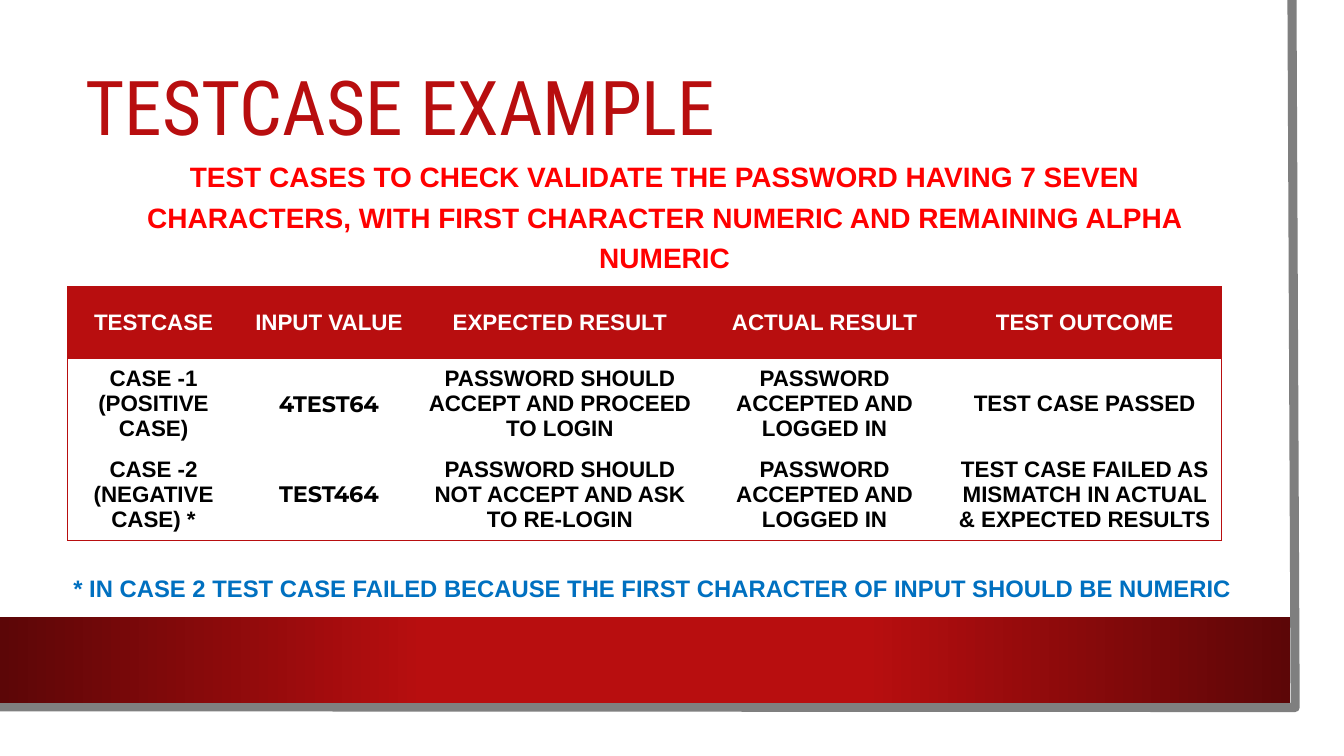
import pptx
import pptx.dml.color
import pptx.enum.dml
import pptx.enum.shapes
import pptx.enum.text
import pptx.oxml
import pptx.oxml.ns
import pptx.util

Cm = pptx.util.Cm
Pt = pptx.util.Pt
ALIGN = pptx.enum.text.PP_ALIGN
MIDDLE = pptx.enum.text.MSO_ANCHOR.MIDDLE

COLORS = {"red": "B80E0F", "dark red": "5C0607", "gray": "7F7F7F", "white": "FFFFFF",
          "black": "000000", "bright red": "FF0000", "blue": "0070C0"}
NAMESPACE = pptx.oxml.ns.nsdecls("a")
NO_STYLE = "{2D5ABB26-0587-4C30-8999-92F81FD0307C}"


def rgb(name):
    return pptx.dml.color.RGBColor.from_string(COLORS[name])


def write(frame, text, color, align, spacing, **font):
    """Fill a text frame, one paragraph per line of text."""
    frame.word_wrap = True
    frame.vertical_anchor = MIDDLE
    frame.text = text
    for para in frame.paragraphs:
        para.alignment = align
        para.line_spacing = spacing
        for span in para.runs:
            span.font.color.rgb = rgb(color)
            for attribute, value in font.items():
                setattr(span.font, attribute, value)


deck = pptx.Presentation()
deck.slide_width, deck.slide_height = Cm(33.87), Cm(19.05)
page = deck.slides.add_slide(deck.slide_layouts[5])

# Gray frame along the right and lower edges
outline = page.shapes.build_freeform(Cm(32.56), 0)
outline.add_line_segments([(Cm(32.64), Cm(17.83)), (Cm(-0.08), Cm(17.81))], close=False)
frame_line = outline.convert_to_shape()
frame_line.shadow.inherit = False
frame_line.fill.background()
frame_line.line.color.rgb = rgb("gray")
frame_line.line.width = Pt(6.5)

# Red band, darker towards both ends
band = page.shapes.add_shape(pptx.enum.shapes.MSO_SHAPE.RECTANGLE,
                             0, Cm(15.54), Cm(32.51), Cm(2.17))
band.shadow.inherit = False
band.line.fill.background()
stops = "".join(
    f'<a:gs pos="{place * 1000}"><a:srgbClr val="{COLORS[name]}"/></a:gs>'
    for place, name in [(0, "dark red"), (33, "red"), (67, "red"), (100, "dark red")])
gradient = pptx.oxml.parse_xml(
    f'<a:gradFill {NAMESPACE}><a:gsLst>{stops}</a:gsLst><a:lin ang="0"/></a:gradFill>')
band._element.spPr.find(pptx.oxml.ns.qn("a:prstGeom")).addnext(gradient)

# Title
title = page.shapes.title
title.left, title.top, title.width, title.height = Cm(1.9), Cm(1.19), Cm(28.88), Cm(3.2)
write(title.text_frame, "TESTCASE EXAMPLE", "red", ALIGN.LEFT, 0.9,
      name="Roboto Condensed", size=Pt(54))

# Introduction and footnote
notes = [
    ((1.9, 3.73, 29.7, 3.3),
     "TEST CASES TO CHECK VALIDATE THE PASSWORD HAVING 7 SEVEN CHARACTERS, "
     "WITH FIRST CHARACTER NUMERIC AND REMAINING ALPHA NUMERIC",
     "bright red", ALIGN.CENTER, 1.2, 20),
    ((1.6, 14.22, 29.7, 1.12),
     "* IN CASE 2 TEST CASE FAILED BECAUSE THE FIRST CHARACTER OF INPUT SHOULD BE NUMERIC",
     "blue", ALIGN.LEFT, 1.1, 17),
]
for place, text, color, align, spacing, size in notes:
    box = page.shapes.add_textbox(*[Cm(length) for length in place])
    write(box.text_frame, text, color, align, spacing, name="Arial", size=Pt(size), bold=True)

# Table of test cases
rows = [
    ["TESTCASE", "INPUT VALUE", "EXPECTED RESULT", "ACTUAL RESULT", "TEST OUTCOME"],
    ["CASE -1\n(POSITIVE CASE)", "4TEST64", "PASSWORD SHOULD ACCEPT AND PROCEED TO LOGIN",
     "PASSWORD ACCEPTED AND LOGGED IN", "TEST CASE PASSED"],
    ["CASE -2\n(NEGATIVE CASE) *", "TEST464", "PASSWORD SHOULD NOT ACCEPT AND ASK TO RE-LOGIN",
     "PASSWORD ACCEPTED AND LOGGED IN",
     "TEST CASE FAILED AS MISMATCH IN ACTUAL & EXPECTED RESULTS"],
]
widths = [4.34, 4.5, 7.14, 6.2, 6.91]
heights = [1.81, 2.14, 2.14]
holder = page.shapes.add_table(len(rows), len(widths), Cm(1.7), Cm(7.23),
                               Cm(sum(widths)), Cm(sum(heights)))
table = holder.table
table.horz_banding = False
table._tbl.tblPr.find(pptx.oxml.ns.qn("a:tableStyleId")).text = NO_STYLE
for column, width in zip(table.columns, widths):
    column.width = Cm(width)

for row_number, texts in enumerate(rows):
    table.rows[row_number].height = Cm(heights[row_number])
    header = row_number == 0
    for column_number, text in enumerate(texts):
        cell = table.cell(row_number, column_number)
        cell.vertical_anchor = MIDDLE
        input_value = column_number == 1 and not header
        write(cell.text_frame, text, "white" if header else "black", ALIGN.CENTER, 1.0,
              name="Montserrat" if input_value else "Arial", size=Pt(16), bold=True)
        if header:
            cell.fill.solid()
            cell.fill.fore_color.rgb = rgb("red")
        else:
            cell.fill.background()
        # Only the outer edges of the table carry a line
        edges = {"lnL": column_number == 0, "lnR": column_number == len(widths) - 1,
                 "lnT": header, "lnB": row_number == len(rows) - 1}
        outer = [tag for tag, is_outer in edges.items() if is_outer]
        for position, tag in enumerate(outer):
            cell._tc.get_or_add_tcPr().insert(position, pptx.oxml.parse_xml(
                f'<a:{tag} {NAMESPACE} w="9525"><a:solidFill>'
                f'<a:srgbClr val="{COLORS["red"]}"/></a:solidFill></a:{tag}>'))

deck.save("out.pptx")
